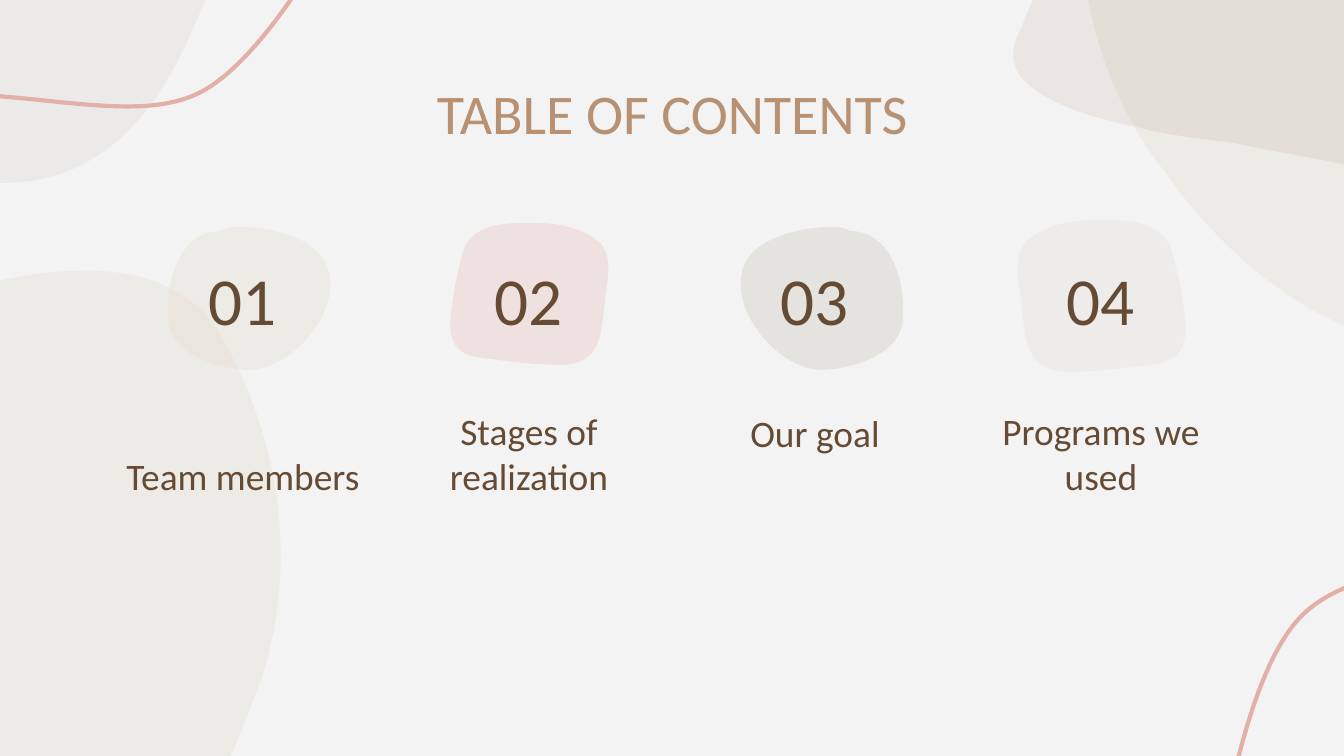
import math
import pptx
import pptx.util
import pptx.dml.color
import pptx.enum.text
import pptx.oxml
import pptx.oxml.ns

RGB = pptx.dml.color.RGBColor
ANCHOR = pptx.enum.text.MSO_ANCHOR
qn = pptx.oxml.ns.qn
EMU = 914400 / 134.4

PAPER = RGB(0xF3, 0xF3, 0xF3)
SAND = RGB(0xE7, 0xE2, 0xD6)
CLAY = RGB(0xAC, 0x90, 0x78)
OLIVE = RGB(0x88, 0x7C, 0x62)
ROSE = RGB(0xE2, 0xB0, 0xA6)
TAN = RGB(0xB7, 0x91, 0x72)
BROWN = RGB(0x66, 0x4B, 0x34)


def px(n):
    """Turn pixels into EMU."""
    return round(n * EMU)


def level(points, turn):
    """Turn points about the centre, back to an upright outline."""
    a = math.radians(-turn)
    c, s = math.cos(a), math.sin(a)
    return [(x * c - y * s, x * s + y * c) for x, y in points]


# Outlines: size, then points about the centre;
# a start point is followed by three points for each curve.
STONE = (1098, 702), level([
    (274, 261), (233, 280), (186, 288), (132, 280),
    (-108, 245), (-208, 153), (-208, 153),
    (-208, 153), (-248, 79), (-331, 117),
    (-334, 118), (-338, 120), (-342, 122),
    (-353, 128), (-365, 134), (-376, 138),
    (-450, 172), (-509, 176), (-525, 156),
    (-544, 132), (-519, 27), (-463, -36),
    (-416, -89), (-360, -187), (-279, -223),
    (-264, -230), (-248, -234), (-230, -237),
    (-123, -247), (326, -532), (433, -333),
    (542, -134), (460, 31), (460, 31),
    (460, 31), (408, 200), (274, 261)], 155.7)
LEAF = (671, 200), level([
    (-177, -135), (-208, -140), (-239, -142), (-261, -128),
    (-295, -106), (-311, -61), (-326, -25),
    (-346, 24), (-271, 50), (-201, 64),
    (-197, 65), (-193, 67), (-189, 67),
    (-151, 75), (-118, 77), (-104, 80),
    (-72, 87), (-38, 92), (-6, 99),
    (79, 115), (163, 132), (248, 149),
    (255, 150), (261, 151), (267, 149),
    (272, 146), (275, 142), (279, 136),
    (300, 107), (327, 68), (326, 29),
    (323, -26), (251, -44), (194, -54),
    (187, -56), (179, -57), (174, -58),
    (165, -60), (157, -62), (150, -64),
    (81, -81), (11, -96), (-57, -110),
    (-71, -112), (-84, -114), (-97, -116),
    (-122, -122), (-149, -130), (-177, -135)], 10.8)
SHADE = (941, 836), level([
    (122, -401), (118, -402), (114, -402), (110, -403),
    (102, -405), (94, -407), (85, -409),
    (-23, -434), (-160, -462), (-258, -405),
    (-323, -366), (-353, -270), (-386, -206),
    (-426, -121), (-464, -35), (-491, 56),
    (-527, 177), (-484, 250), (-368, 294),
    (-267, 335), (-167, 374), (-63, 406),
    (-20, 419), (24, 437), (70, 448),
    (108, 457), (145, 461), (183, 458),
    (269, 450), (320, 384), (352, 310),
    (394, 218), (426, 121), (464, 27),
    (497, -54), (513, -151), (452, -223),
    (370, -321), (243, -371), (122, -401)], 13.6)
WAVE = (1150, 423), level([
    (-405, 460), (-405, 460), (-383, 208), (-313, 130),
    (-230, 38), (31, 104), (153, -143),
    (277, -390), (425, -384), (536, -218)], 151.5)
PEBBLE = (199, 142), [
    (-23, -71), (-32, -71), (-39, -70), (-42, -67),
    (-87, -67), (-99, -9), (-95, 24),
    (-91, 58), (-43, 71), (-15, 72),
    (39, 72), (99, -16), (47, -52),
    (31, -64), (-1, -71), (-23, -71)]
TILE = (171, 152), [
    (-5, -76), (-3, -76), (0, -76), (2, -76),
    (22, -76), (48, -75), (62, -60),
    (72, -50), (73, -33), (77, -19),
    (80, -3), (83, 14), (84, 30),
    (85, 54), (75, 65), (53, 68),
    (33, 71), (14, 73), (-6, 75),
    (-14, 75), (-24, 76), (-32, 76),
    (-38, 76), (-45, 75), (-52, 73),
    (-67, 68), (-73, 54), (-76, 40),
    (-79, 22), (-80, 3), (-83, -15),
    (-85, -30), (-84, -49), (-71, -58),
    (-52, -72), (-28, -76), (-5, -76)]


class Deck:
    """Holds the font and the current slide."""

    def __init__(self, font):
        """Start a deck with one blank slide."""
        self.font = font
        self.prs = pptx.Presentation()
        self.prs.slide_width, self.prs.slide_height = px(1344), px(756)
        self.slide = self.prs.slides.add_slide(self.prs.slide_layouts[6])
        fill = self.slide.background.fill
        fill.solid()
        fill.fore_color.rgb = PAPER

    def curve(self, form, x, y, size=None, turn=0, flip=False):
        """Add a shape with a curved outline, stretched to its box."""
        (w, h), points = form
        pen = self.slide.shapes.build_freeform(0, 0, scale=EMU)
        pen.add_line_segments([(w, 0), (w, h)], close=False)
        shape = pen.convert_to_shape()
        trace = shape.element.find(".//" + qn("a:path"))
        for old in list(trace):
            trace.remove(old)
        trace.set("w", str(px(w)))
        trace.set("h", str(px(h)))
        for i, (dx, dy) in enumerate(points):
            if i == 0:
                part = trace.makeelement(qn("a:moveTo"), {})
                trace.append(part)
            elif i % 3 == 1:
                part = trace.makeelement(qn("a:cubicBezTo"), {})
                trace.append(part)
            spot = {"x": str(px(w / 2 + dx)), "y": str(px(h / 2 + dy))}
            part.append(part.makeelement(qn("a:pt"), spot))
        w, h = size or (w, h)
        shape.left, shape.top, shape.width, shape.height = map(px, (x, y, w, h))
        shape.rotation = turn
        if flip:
            shape.element.spPr.find(qn("a:xfrm")).set("flipH", "1")
        shape.shadow.inherit = False
        return shape, trace

    def patch(self, form, x, y, color, alpha, **place):
        """Add a closed, see-through patch."""
        shape, trace = self.curve(form, x, y, **place)
        trace.append(trace.makeelement(qn("a:close"), {}))
        shape.line.fill.background()
        shape.fill.solid()
        shape.fill.fore_color.rgb = color
        tint = shape.element.spPr.find(".//" + qn("a:srgbClr"))
        tint.append(tint.makeelement(qn("a:alpha"), {"val": str(alpha * 1000)}))

    def wave(self, x, y, turn):
        """Add an open rose line."""
        shape, trace = self.curve(WAVE, x, y, turn=turn)
        trace.set("fill", "none")
        shape.fill.background()
        shape.line.color.rgb = ROSE
        shape.line.width = pptx.util.Pt(2.25)

    def text(self, text, x, y, w, h, size=20, color=BROWN, anchor=ANCHOR.MIDDLE):
        """Add a centred text box."""
        frame = self.slide.shapes.add_textbox(*map(px, (x, y, w, h))).text_frame
        frame.word_wrap = True
        frame.vertical_anchor = anchor
        frame.margin_left = frame.margin_right = pptx.util.Inches(0.1)
        frame.margin_top = frame.margin_bottom = pptx.util.Inches(0.1)
        line = frame.paragraphs[0]
        line.alignment = pptx.enum.text.PP_ALIGN.CENTER
        run = line.add_run()
        run.text = text
        run.font.name = self.font
        run.font.size = pptx.util.Pt(size)
        run.font.color.rgb = color


deck = Deck("Calibri")
deck.patch(STONE, -758, 323, SAND, 46, turn=155.7)
deck.patch(STONE, 1051, -333, SAND, 46, turn=188.6, flip=True)
deck.patch(LEAF, 1007, -36, CLAY, 13, turn=10.8)
deck.patch(SHADE, -632, -694, OLIVE, 7, turn=13.6)
deck.wave(1036, 278, 151.5)
deck.wave(-710, -99, 350.4)

deck.patch(PEBBLE, 164, 227, SAND, 46)
deck.patch(PEBBLE, 708, 227, OLIVE, 13, flip=True)
deck.patch(TILE, 1016, 220, CLAY, 7)
deck.patch(TILE, 449, 223, ROSE, 26, size=(161, 142), flip=True)

deck.text("TABLE OF CONTENTS", 106, 64, 1133, 97, size=30, color=TAN)
topics = [("Team members", 387), ("Stages of realization", 387),
          ("Our goal", 344), ("Programs we used", 387)]
for i, (topic, top) in enumerate(topics):
    left = 108 + 286 * i
    deck.text(f"{i + 1:02}", left, 266, 270, 66, size=36)
    deck.text(topic, left, top, 270, 124, anchor=ANCHOR.BOTTOM)

deck.prs.save("out.pptx")
